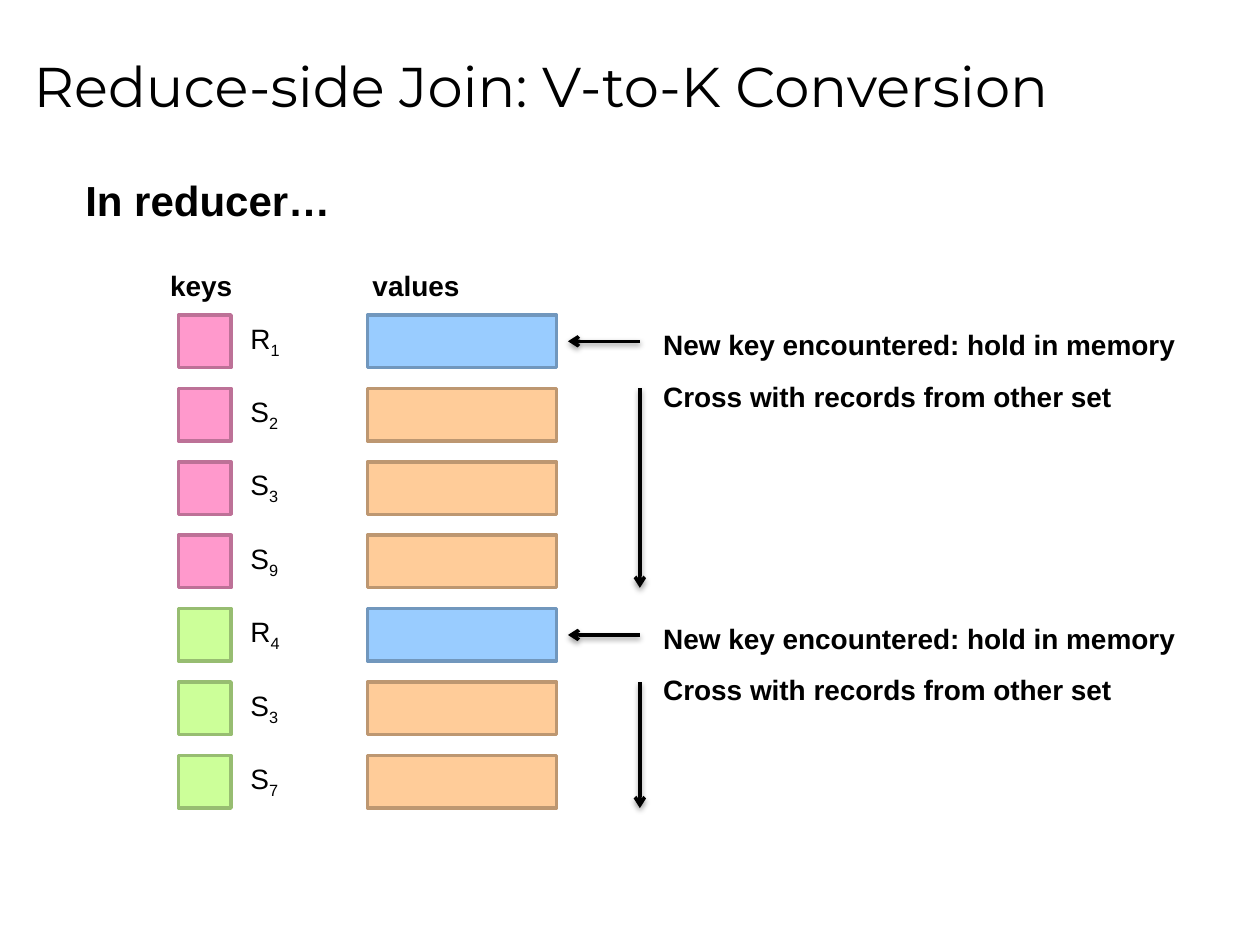
from dataclasses import dataclass

from lxml.etree import SubElement
from pptx import Presentation
from pptx.dml.color import RGBColor
from pptx.enum.shapes import MSO_CONNECTOR, MSO_SHAPE
from pptx.enum.text import MSO_ANCHOR, MSO_AUTO_SIZE
from pptx.oxml import parse_xml
from pptx.oxml.ns import nsdecls, qn
from pptx.util import Cm, Pt


@dataclass(frozen=True)
class Theme:
    title_font: str = "Montserrat"
    body_font: str = "Arial"
    title_size: int = 32
    heading_size: int = 24
    body_size: int = 16
    line_width: int = 2
    ink: str = "000000"
    # Fill and outline pairs
    pink: tuple = ("FF99CC", "BD7197")
    green: tuple = ("CCFF99", "97BD71")
    blue: tuple = ("99CCFF", "7197BD")
    orange: tuple = ("FFCC99", "BD9771")


THEME = Theme()
ROW_PITCH = 1.48
CELL_HEIGHT = 1.06
LABEL_HEIGHT = 0.94

# Each join key with its records, in the order the reducer sees them
KEY_GROUPS = (
    (THEME.pink, ("R1", "S2", "S3", "S9")),
    (THEME.green, ("R4", "S3", "S7")),
)

SHADOW = (
    f'<a:effectLst {nsdecls("a")}>'
    '<a:outerShdw blurRad="40000" dist="20000" dir="5400000" rotWithShape="0">'
    '<a:srgbClr val="000000"><a:alpha val="38000"/></a:srgbClr>'
    '</a:outerShdw></a:effectLst>'
)


def add_label(slide, box, text, size=THEME.body_size, bold=False,
              subscript="", font_name=THEME.body_font):
    label = slide.shapes.add_textbox(*map(Cm, box))
    frame = label.text_frame
    frame.word_wrap = False
    frame.auto_size = MSO_AUTO_SIZE.SHAPE_TO_FIT_TEXT
    paragraph = frame.paragraphs[0]
    paragraph.add_run().text = text
    if subscript:
        lowered = paragraph.add_run()
        lowered.text = subscript
        lowered._r.get_or_add_rPr().set("baseline", "-25000")
    font = paragraph.font
    font.name, font.size, font.bold = font_name, Pt(size), bold
    font.color.rgb = RGBColor.from_string(THEME.ink)
    return frame


def add_cell(slide, box, colors):
    cell = slide.shapes.add_shape(MSO_SHAPE.RECTANGLE, *map(Cm, box))
    fill, outline = map(RGBColor.from_string, colors)
    cell.shadow.inherit = False
    cell.fill.solid()
    cell.fill.fore_color.rgb = fill
    cell.line.color.rgb = outline
    cell.line.width = Pt(THEME.line_width)


def add_arrow(slide, *ends):
    arrow = slide.shapes.add_connector(MSO_CONNECTOR.STRAIGHT, *map(Cm, ends))
    arrow.line.color.rgb = RGBColor.from_string(THEME.ink)
    arrow.line.width = Pt(THEME.line_width)
    SubElement(arrow.line._get_or_add_ln(), qn("a:tailEnd"), type="arrow")
    arrow._element.spPr.append(parse_xml(SHADOW))


def add_title(slide, box):
    frame = add_label(slide, box, "Reduce-side Join: V-to-K Conversion",
                      THEME.title_size, font_name=THEME.title_font)
    frame.auto_size = MSO_AUTO_SIZE.NONE
    frame.word_wrap = True
    frame.vertical_anchor = MSO_ANCHOR.MIDDLE


def add_headings(slide, left, top):
    add_label(slide, (left, top, 5.51, 1.27), "In reducer…",
              THEME.heading_size, bold=True)
    add_label(slide, (left + 1.71, top + 1.9, 1.78, LABEL_HEIGHT),
              "keys", bold=True)
    add_label(slide, (left + 5.79, top + 1.9, 2.29, LABEL_HEIGHT),
              "values", bold=True)


def add_records(slide, left, top, key_colors, records):
    """Key square, subscripted label and value bar for each record."""
    for index, (relation, number) in enumerate(records):
        row = top + index * ROW_PITCH
        add_cell(slide, (left, row, CELL_HEIGHT, CELL_HEIGHT), key_colors)
        add_label(slide, (left + 1.2, row, 1.14, LABEL_HEIGHT), relation,
                  subscript=number)
        value_colors = THEME.blue if relation == "R" else THEME.orange
        add_cell(slide, (left + 3.81, row, 3.81, CELL_HEIGHT), value_colors)


def add_steps(slide, left, top, height):
    """Arrow to the held record, arrow down the crossed ones, and notes."""
    middle = top + CELL_HEIGHT / 2
    stem = left + 1.45
    add_arrow(slide, stem, middle, left, middle)
    add_arrow(slide, stem, top + ROW_PITCH, stem, top + height)
    note_left = stem + 0.22
    add_label(slide, (note_left, top + 0.13, 10.97, LABEL_HEIGHT),
              "New key encountered: hold in memory", bold=True)
    add_label(slide, (note_left, top + 1.17, 9.68, LABEL_HEIGHT),
              "Cross with records from other set", bold=True)


def main():
    deck = Presentation()
    deck.slide_width, deck.slide_height = Cm(25.4), Cm(19.05)
    slide = deck.slides.add_slide(deck.slide_layouts[6])

    add_title(slide, (0.43, 0.3, 24.13, 2.84))
    add_headings(slide, 1.47, 3.39)

    # One block per key, stacked on the row grid
    top = 6.35
    for key_colors, records in KEY_GROUPS:
        height = (len(records) - 1) * ROW_PITCH + CELL_HEIGHT
        add_records(slide, 3.6, top, key_colors, records)
        add_steps(slide, 11.45, top, height)
        top += len(records) * ROW_PITCH

    deck.save("out.pptx")


if __name__ == "__main__":
    main()
